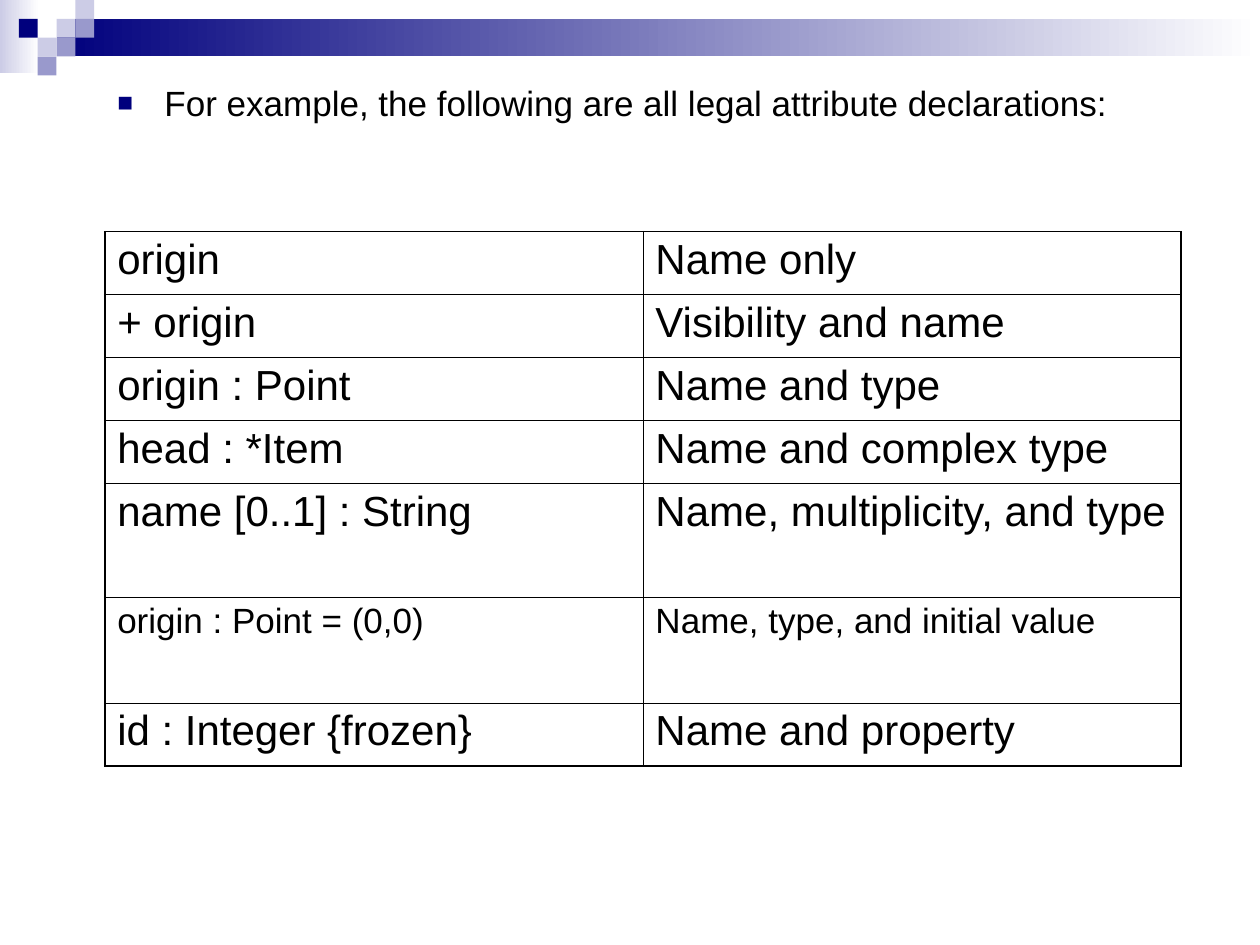
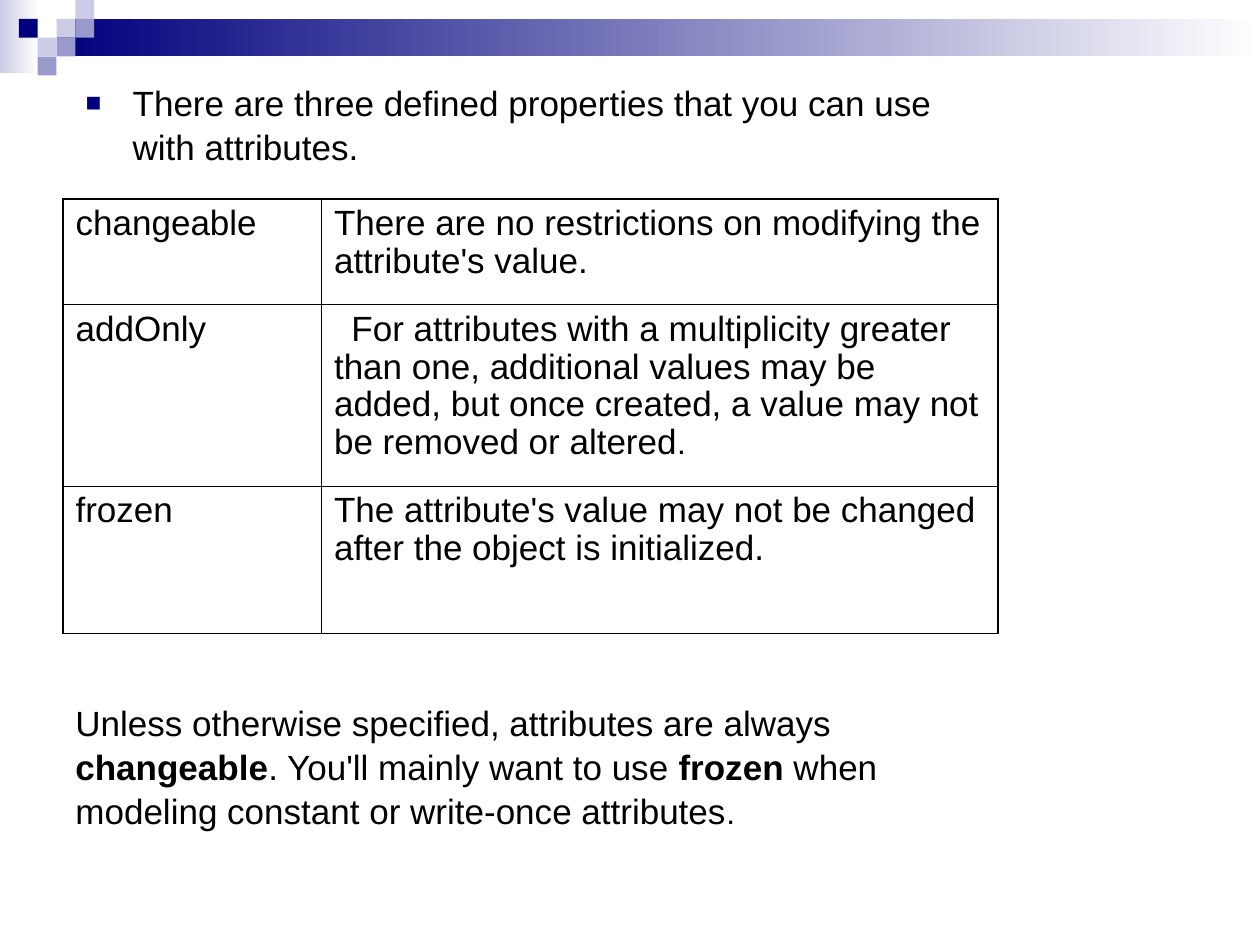
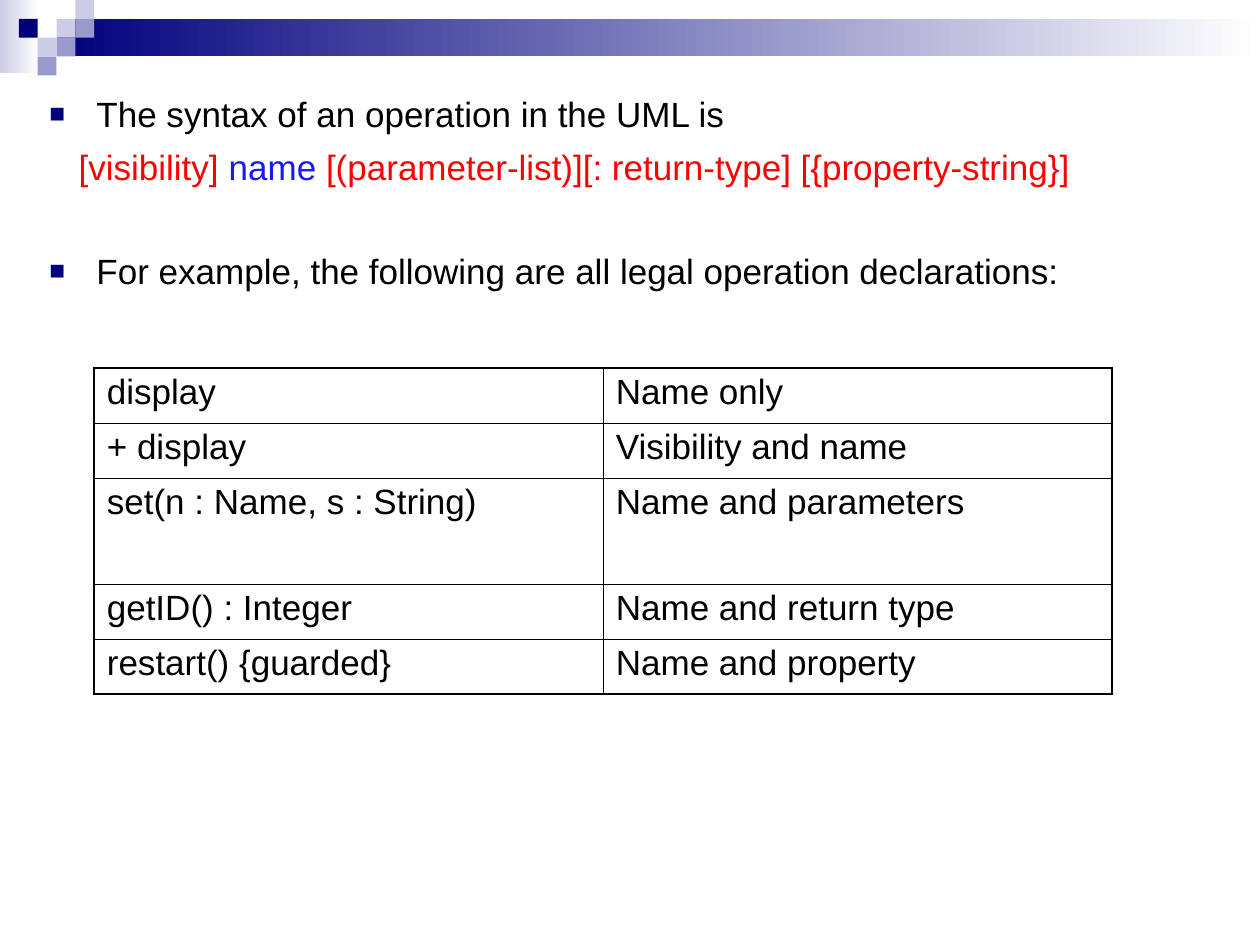
from dataclasses import dataclass, replace
from typing import Optional

from lxml import etree
from pptx import Presentation
from pptx.dml.color import RGBColor
from pptx.enum import shapes, text
from pptx.oxml import ns
from pptx.util import Cm, Pt

# Shared style
NAVY = RGBColor(0x00, 0x00, 0x7D)
LILAC = RGBColor(0x99, 0x99, 0xCC)
PALE = RGBColor(0xCC, 0xCC, 0xE6)
WHITE = RGBColor(0xFF, 0xFF, 0xFF)
BLACK = RGBColor(0x00, 0x00, 0x00)
RED = RGBColor(0xFF, 0x00, 0x00)
BLUE = RGBColor(0x18, 0x18, 0xFF)
FONT = "Arial"
BODY_SPACING, TABLE_SPACING = 1.05, 0.97
OUTER_PT, INNER_PT = 1.08, 0.45
TILE = 0.38
HANGING = 0.95


@dataclass(frozen=True)
class Box:
    """Position and size in centimetres."""
    left: float
    top: float
    width: float
    height: float

    def lengths(self) -> tuple:
        return Cm(self.left), Cm(self.top), Cm(self.width), Cm(self.height)


@dataclass(frozen=True)
class Span:
    text: str
    size: float = 20
    color: RGBColor = BLACK
    bold: bool = False


@dataclass(frozen=True)
class Para:
    spans: tuple
    bullet: bool = False
    margin: float = 0
    indent: float = 0
    before: float = 0
    spacing: float = BODY_SPACING


@dataclass(frozen=True)
class Row:
    height: float
    cells: tuple
    size: float = 20


@dataclass(frozen=True)
class Grid:
    left: float
    top: float
    columns: tuple
    rows: tuple


@dataclass(frozen=True)
class Page:
    body_box: Box
    body: tuple
    grid: Grid
    note_box: Optional[Box] = None
    note: Optional[Para] = None


def bullet(content: str, before: float = 0) -> Para:
    return Para((Span(content),), True, HANGING, -HANGING, before)


def child(parent, tag: str, **attributes: str):
    return etree.SubElement(parent, ns.qn(tag), attributes)


# Text
def write_paragraph(p, para: Para) -> None:
    p.line_spacing = para.spacing
    p.space_before = Pt(para.before)
    p.space_after = Pt(0)
    pPr = p._p.get_or_add_pPr()
    pPr.set("marL", str(Cm(para.margin)))
    pPr.set("indent", str(Cm(para.indent)))
    if para.bullet:
        child(child(pPr, "a:buClr"), "a:srgbClr", val=str(NAVY))
        child(pPr, "a:buSzPct", val="75000")
        child(pPr, "a:buFont", typeface=FONT)
        child(pPr, "a:buChar", char="■")
    else:
        child(pPr, "a:buNone")
    for span in para.spans:
        r = p.add_run()
        r.text = span.text
        r.font.name = FONT
        r.font.size = Pt(span.size)
        r.font.bold = span.bold
        r.font.color.rgb = span.color


def write_frame(tf, paras: tuple) -> None:
    tf.word_wrap = True
    tf.auto_size = text.MSO_AUTO_SIZE.NONE
    tf.vertical_anchor = text.MSO_ANCHOR.TOP
    for i, para in enumerate(paras):
        write_paragraph(tf.paragraphs[0] if i == 0 else tf.add_paragraph(), para)


# Master decoration
def add_block(slide, box: Box, color: RGBColor, fade: bool = False):
    sp = slide.shapes.add_shape(shapes.MSO_SHAPE.RECTANGLE, *box.lengths())
    sp.shadow.inherit = False
    sp.line.fill.background()
    if fade:
        sp.fill.gradient()
        sp.fill.gradient_angle = 0
        for stop, stop_color in zip(sp.fill.gradient_stops, (color, WHITE)):
            stop.color.rgb = stop_color
    else:
        sp.fill.solid()
        sp.fill.fore_color.rgb = color
    return sp


def decorate_master(prs, slide) -> None:
    """Draw the band and tiles on a slide, then move them to the master."""
    blocks = [add_block(slide, Box(0, 0, 0.79, 1.47), PALE, True),
              add_block(slide, Box(3 * TILE, TILE, 24.26, 0.76), NAVY, True)]
    tiles = ((3, 1, PALE), (4, 0, PALE), (4, 1, LILAC), (2, 2, PALE),
             (1, 1, NAVY), (3, 2, LILAC), (2, 3, LILAC))
    for column, row, color in tiles:
        box = Box(column * TILE, row * TILE, TILE, TILE)
        blocks.append(add_block(slide, box, color))
    tree = prs.slide_master.shapes.element
    for number, sp in enumerate(blocks, start=100):
        sp.element.nvSpPr.cNvPr.set("id", str(number))
        tree.append(sp.element)


# Tables
def set_borders(cell, outer_sides: dict) -> None:
    tcPr = cell._tc.get_or_add_tcPr()
    for i, (side, outer) in enumerate(outer_sides.items()):
        width = Pt(OUTER_PT if outer else INNER_PT)
        ln = etree.Element(ns.qn(f"a:ln{side}"), {"w": str(width)})
        child(child(ln, "a:solidFill"), "a:srgbClr", val=str(BLACK))
        tcPr.insert(i, ln)


def add_grid(slide, grid: Grid) -> None:
    box = Box(grid.left, grid.top, sum(grid.columns), sum(r.height for r in grid.rows))
    n_rows, n_cols = len(grid.rows), len(grid.columns)
    table = slide.shapes.add_table(n_rows, n_cols, *box.lengths()).table
    table.first_row = table.horz_banding = False
    for column, width in zip(table.columns, grid.columns):
        column.width = Cm(width)
    for i, row in enumerate(grid.rows):
        table.rows[i].height = Cm(row.height)
        for j, content in enumerate(row.cells):
            cell = table.cell(i, j)
            cell.fill.background()
            set_borders(cell, {"L": j == 0, "R": j == n_cols - 1,
                               "T": i == 0, "B": i == n_rows - 1})
            if isinstance(content, str):
                content = Para((Span(content, row.size),))
            write_paragraph(cell.text_frame.paragraphs[0],
                            replace(content, spacing=TABLE_SPACING))


def add_page(prs, page: Page):
    slide = prs.slides.add_slide(prs.slide_layouts[1])
    title = slide.shapes.title.element
    title.getparent().remove(title)
    body = slide.placeholders[1]
    body.left, body.top, body.width, body.height = page.body_box.lengths()
    write_frame(body.text_frame, page.body)
    add_grid(slide, page.grid)
    if page.note:
        note = slide.shapes.add_textbox(*page.note_box.lengths())
        write_frame(note.text_frame, (page.note,))
    return slide


# Content
ATTRIBUTES = Page(
    Box(2.11, 1.47, 22.23, 14.83),
    (bullet("For example, the following are all legal attribute declarations:"),),
    Grid(2.11, 4.67, (10.85, 10.85), (
        Row(1.27, ("origin", "Name only"), 24),
        Row(1.27, ("+ origin", "Visibility and name"), 24),
        Row(1.27, ("origin : Point", "Name and type"), 24),
        Row(1.27, ("head : *Item", "Name and complex type"), 24),
        Row(2.29, ("name [0..1] : String", "Name, multiplicity, and type"), 24),
        Row(2.13, ("origin : Point = (0,0)", "Name, type, and initial value")),
        Row(1.27, ("id : Integer {frozen}", "Name and property"), 24),
    )),
)

ADD_ONLY = Para((
    Span("For attributes with a multiplicity greater than one, additional values "
         "may be added, but once created, a value may not be removed or altered"),
    Span(".", 18)), indent=0.35)

PROPERTIES = Page(
    Box(1.47, 1.47, 18.95, 12.5),
    (bullet("There are three defined properties that you can use with attributes."),),
    Grid(1.27, 4.01, (5.21, 13.64), (
        Row(2.13, ("changeable", "There are no restrictions on modifying the "
                                 "attribute's value.")),
        Row(3.66, ("addOnly", ADD_ONLY)),
        Row(2.97, ("frozen", "The attribute's value may not be changed after "
                             "the object is initialized.")),
    )),
    Box(1.27, 13.97, 17.98, 2.79),
    Para((Span("Unless otherwise specified, attributes are always "),
          Span("changeable", bold=True),
          Span(". You'll mainly want to use "),
          Span("frozen", bold=True),
          Span(" when modeling constant or write-once attributes"),
          Span(".", 18))),
)

OPERATIONS = Page(
    Box(0.74, 1.7, 22.76, 15.24),
    (bullet("The syntax of an operation in the UML is"),
     Para((Span("[visibility] ", color=RED),
           Span("name", color=BLUE),
           Span(" [(parameter-list)][: return-type] [{property-string}]", color=RED)),
          margin=0.59, before=5),
     bullet("For example, the following are all legal operation declarations:", 34)),
    Grid(1.9, 7.42, (10.26, 10.26), (
        Row(1.11, ("display", "Name only")),
        Row(1.11, ("+ display", "Visibility and name")),
        Row(2.13, ("set(n : Name, s : String)", "Name and parameters")),
        Row(1.11, ("getID() : Integer", "Name and return type")),
        Row(1.11, ("restart() {guarded}", "Name and property")),
    )),
)


def main() -> None:
    prs = Presentation()
    prs.slide_width, prs.slide_height = Cm(25.4), Cm(19.05)
    slides = [add_page(prs, page) for page in (ATTRIBUTES, PROPERTIES, OPERATIONS)]
    decorate_master(prs, slides[0])
    prs.save("out.pptx")


if __name__ == "__main__":
    main()
